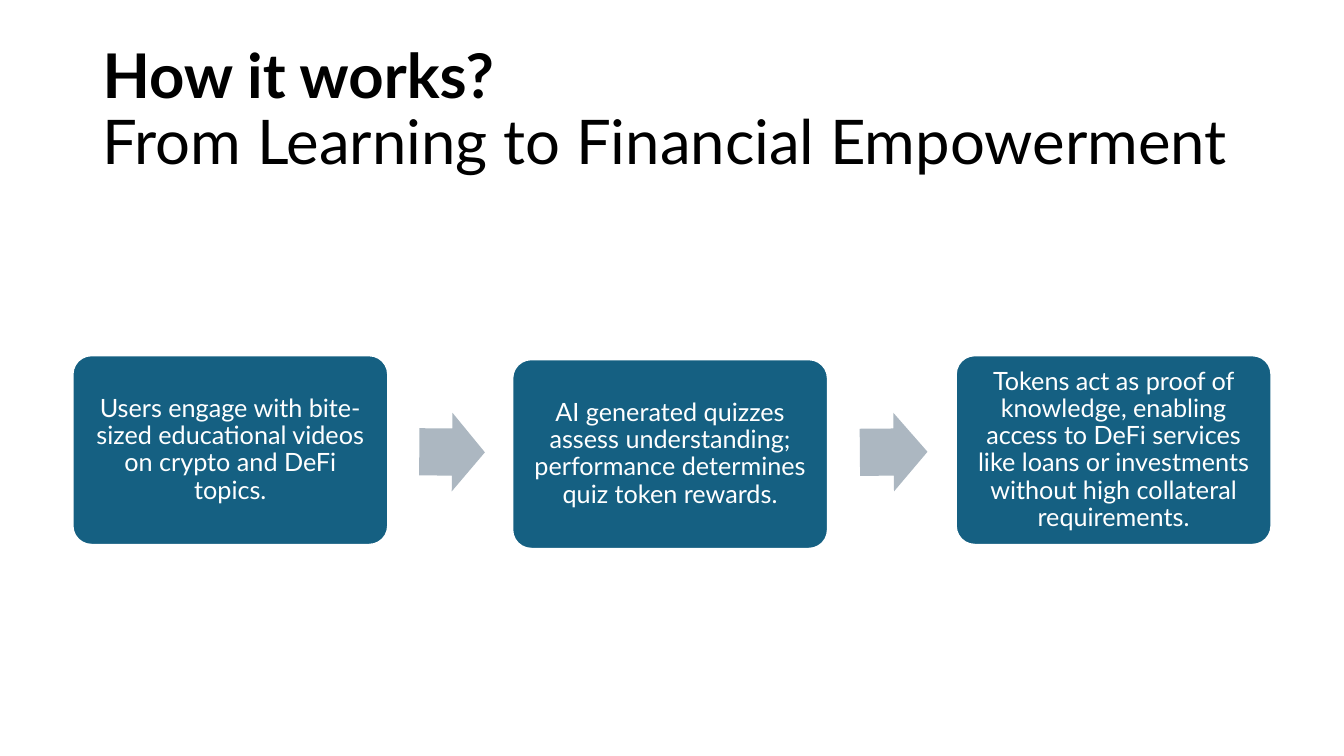
from dataclasses import dataclass

from pptx import Presentation
from pptx.dml.color import RGBColor
from pptx.enum.shapes import MSO_SHAPE as Shape
from pptx.enum.text import MSO_ANCHOR as Anchor, MSO_AUTO_SIZE as AutoSize, PP_ALIGN as Align
from pptx.util import Inches, Pt

FONT = "Lato"
BLACK, WHITE, TEAL, GREY = "000000", "FFFFFF", "156082", "ACB7C1"


@dataclass
class Box:
    """Left, top, width and height in percent of the slide."""
    left: float
    top: float
    width: float
    height: float


@dataclass
class Step:
    box: Box
    text: str


@dataclass
class Arrow:
    box: Box
    rotation: float


STEP_W, STEP_H = 23.48, 25.07
ARROW_TOP, ARROW_H = 54.6, 10.4

TITLE = Box(6.88, 5.07, 86.25, 19.33)
STEPS = [
    Step(Box(5.4, 47, STEP_W, STEP_H),
         "Users engage with bite-sized educational videos on crypto and DeFi topics."),
    Step(Box(38.12, 47.53, STEP_W, STEP_H),
         "AI generated quizzes assess understanding; "
         "performance determines quiz token rewards."),
    Step(Box(71.12, 47, STEP_W, STEP_H),
         "Tokens act as proof of knowledge, enabling access to DeFi services "
         "like loans or investments without high collateral requirements."),
]
ARROWS = [
    Arrow(Box(31.2, ARROW_TOP, 4.88, ARROW_H), 0.5),
    Arrow(Box(63.98, ARROW_TOP, 5.03, ARROW_H), 359.5),
]

prs = Presentation()
prs.slide_width, prs.slide_height = Inches(13.33), Inches(7.5)


def color(value: str) -> RGBColor:
    return RGBColor.from_string(value)


def place(box: Box) -> tuple[int, int, int, int]:
    w, h = prs.slide_width / 100, prs.slide_height / 100
    return int(box.left * w), int(box.top * h), int(box.width * w), int(box.height * h)


def format_run(r, size: float, hex_color: str, bold: bool = False) -> None:
    r.font.name, r.font.size, r.font.bold = FONT, Pt(size), bold
    r.font.color.rgb = color(hex_color)


def add_title(s, box: Box, heading: str, subtitle: str) -> None:
    sp = s.shapes.title
    sp.left, sp.top, sp.width, sp.height = place(box)
    tf = sp.text_frame
    tf.auto_size, tf.vertical_anchor = AutoSize.NONE, Anchor.MIDDLE
    p = tf.paragraphs[0]
    p.text = f"{heading}\v{subtitle}"
    p.alignment, p.line_spacing = Align.LEFT, 0.9
    for r, bold in zip(p.runs, (True, False)):
        format_run(r, 44, BLACK, bold)


def add_filled(s, kind: Shape, box: Box, fill: str, adjustments: list[float]):
    sp = s.shapes.add_shape(kind, *place(box))
    sp.shadow.inherit = False
    sp.fill.solid()
    sp.fill.fore_color.rgb = color(fill)
    for i, value in enumerate(adjustments):
        sp.adjustments[i] = value
    return sp


def add_step(s, step: Step) -> None:
    sp = add_filled(s, Shape.ROUNDED_RECTANGLE, step.box, TEAL, [0.1])
    sp.line.color.rgb, sp.line.width = color(WHITE), Pt(1.5)
    tf = sp.text_frame
    tf.word_wrap, tf.vertical_anchor = True, Anchor.MIDDLE
    tf.margin_left = tf.margin_right = tf.margin_top = tf.margin_bottom = Inches(0.07)
    p = tf.paragraphs[0]
    p.text = step.text
    p.alignment, p.line_spacing = Align.CENTER, 0.9
    format_run(p.runs[0], 18, WHITE)


def add_arrow(s, arrow: Arrow) -> None:
    sp = add_filled(s, Shape.RIGHT_ARROW, arrow.box, GREY, [0.6, 0.5])
    sp.line.fill.background()
    sp.rotation = arrow.rotation


def main() -> None:
    s = prs.slides.add_slide(prs.slide_layouts[5])

    # Title
    add_title(s, TITLE, "How it works?", "From Learning to Financial Empowerment")

    # Process steps
    for step in STEPS:
        add_step(s, step)

    # Arrows between the steps
    for arrow in ARROWS:
        add_arrow(s, arrow)

    prs.save("out.pptx")


if __name__ == "__main__":
    main()
